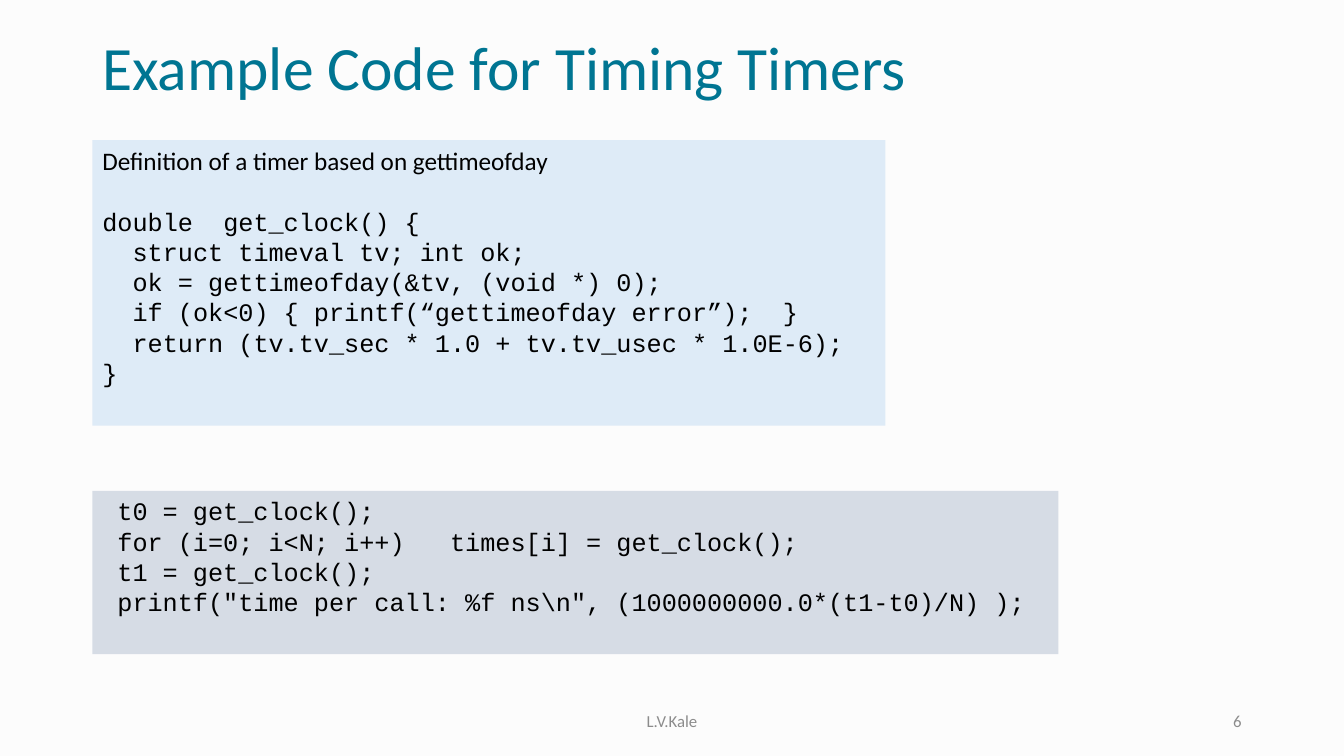
"""Build the slide with example code for timing timers."""
from pptx import Presentation
from pptx.dml.color import RGBColor
from pptx.enum.shapes import MSO_SHAPE
from pptx.enum.text import MSO_ANCHOR, PP_ALIGN
from pptx.util import Pt

COLORS = {
    "background": "FCFCFC",
    "title": "007592",
    "footer": "8C8C8C",
    "text": "000000",
    "definition": "DEEBF7",
    "usage": "D6DCE5",
}
LEFT = 66
FOOTER_TOP = 500.4
FOOTER_HEIGHT = 28.8

TIMER_CODE = """double  get_clock() {
  struct timeval tv; int ok;
  ok = gettimeofday(&tv, (void *) 0);
  if (ok<0) { printf(“gettimeofday error”);  }
  return (tv.tv_sec * 1.0 + tv.tv_usec * 1.0E-6);
}"""
USAGE_CODE = r""" t0 = get_clock();
 for (i=0; i<N; i++)   times[i] = get_clock();
 t1 = get_clock();
 printf("time per call: %f ns\n", (1000000000.0*(t1-t0)/N) );"""


class SlideBuilder:
    """Hold the fonts and the current slide."""

    text_font = "Calibri"
    code_font = "Courier New"
    body_size = 18

    def __init__(self, slide):
        self.slide = slide
        fill = slide.background.fill
        fill.solid()
        fill.fore_color.rgb = self.color("background")

    def color(self, name):
        return RGBColor.from_string(COLORS[name])

    def style(self, paragraph, font_name, size, color):
        paragraph.font.name = font_name
        paragraph.font.size = Pt(size)
        paragraph.font.color.rgb = self.color(color)

    def label(self, text, left, top, width, height, size, color,
              align=PP_ALIGN.LEFT, line_spacing=1.0):
        shape = self.slide.shapes.add_textbox(Pt(left), Pt(top), Pt(width), Pt(height))
        frame = shape.text_frame
        frame.word_wrap = True
        frame.vertical_anchor = MSO_ANCHOR.MIDDLE
        paragraph = frame.paragraphs[0]
        paragraph.text = text
        paragraph.alignment = align
        paragraph.line_spacing = line_spacing
        self.style(paragraph, self.text_font, size, color)

    def code_panel(self, code, top, width, height, fill, heading=None):
        shape = self.slide.shapes.add_shape(
            MSO_SHAPE.RECTANGLE, Pt(LEFT), Pt(top), Pt(width), Pt(height))
        shape.shadow.inherit = False
        shape.fill.solid()
        shape.fill.fore_color.rgb = self.color(fill)
        shape.line.fill.background()
        frame = shape.text_frame
        frame.word_wrap = True
        frame.vertical_anchor = MSO_ANCHOR.TOP
        lines = [(line, self.code_font) for line in code.splitlines()]
        if heading:
            lines.insert(0, (heading, self.text_font))
        for index, (line, font_name) in enumerate(lines):
            paragraph = frame.add_paragraph() if index else frame.paragraphs[0]
            paragraph.text = line
            paragraph.alignment = PP_ALIGN.LEFT
            if heading and index == 1:
                paragraph.space_before = Pt(22)
            self.style(paragraph, font_name, self.body_size, "text")


def main():
    presentation = Presentation()
    presentation.slide_width = Pt(960)
    presentation.slide_height = Pt(540)
    slide = presentation.slides.add_slide(presentation.slide_layouts[6])
    builder = SlideBuilder(slide)

    builder.label("Example Code for Timing Timers", LEFT, 20, 828, 60.5,
                  44, "title", line_spacing=0.9)
    builder.code_panel(TIMER_CODE, 100, 566.5, 204, "definition",
                       heading="Definition of a timer based on gettimeofday")
    builder.code_panel(USAGE_CODE, 350.6, 690, 116.6, "usage")
    builder.label("L.V.Kale", 318, FOOTER_TOP, 324, FOOTER_HEIGHT,
                  12, "footer", PP_ALIGN.CENTER)
    builder.label("6", 678, FOOTER_TOP, 216, FOOTER_HEIGHT,
                  12, "footer", PP_ALIGN.RIGHT)

    presentation.save("out.pptx")


if __name__ == "__main__":
    main()
